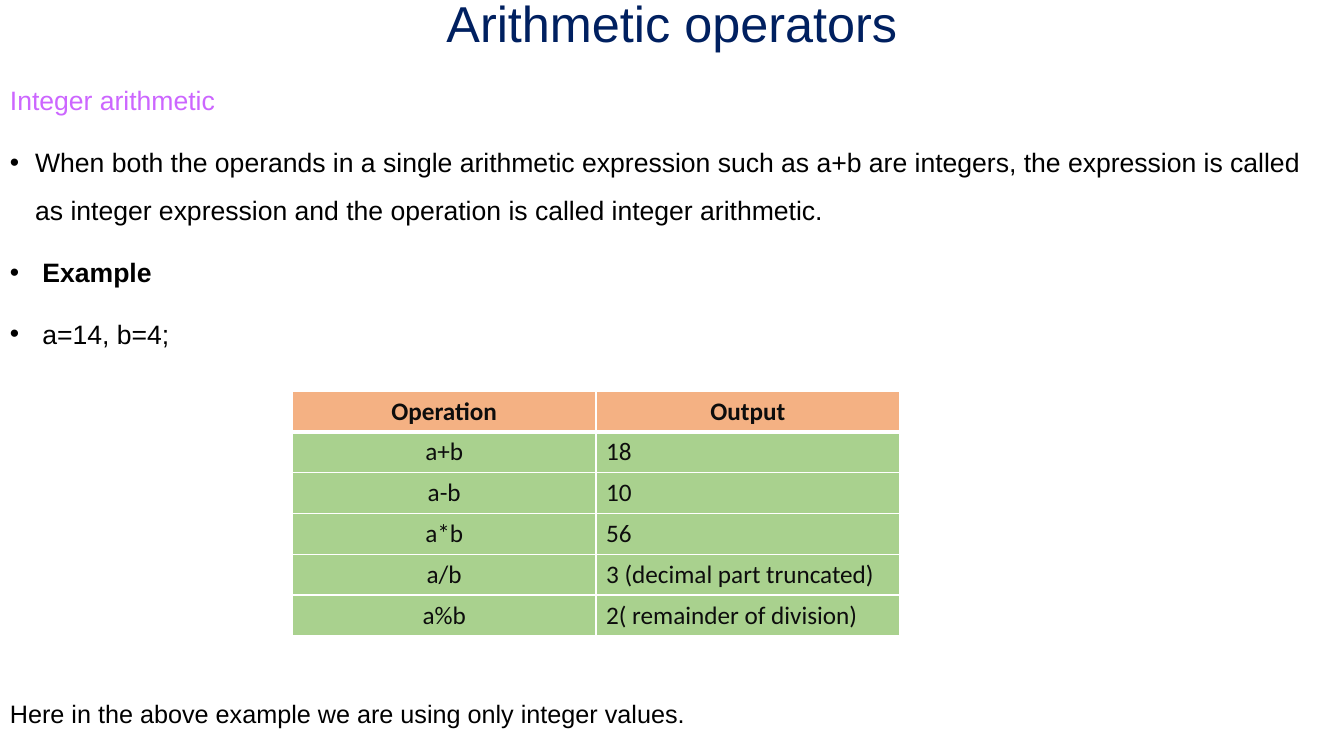
"""Build the slide on arithmetic operators with integer operands."""
from dataclasses import dataclass

from lxml import etree
from pptx import Presentation
from pptx.dml.color import RGBColor
from pptx.enum.text import MSO_ANCHOR, PP_ALIGN
from pptx.oxml.ns import qn
from pptx.util import Emu, Inches, Pt

CENTER, LEFT = PP_ALIGN.CENTER, PP_ALIGN.LEFT
TOP, MIDDLE = MSO_ANCHOR.TOP, MSO_ANCHOR.MIDDLE
CELL = Inches(1) // 12
COLUMNS, ROWS = 160, 90
NAVY, VIOLET, BLACK, WHITE = "002060", "CC66FF", "000000", "FFFFFF"
CHARCOAL, ORANGE, GREEN = "0D0D0D", "F4B183", "A9D18E"
HANGING = Inches(0.25)


@dataclass
class Line:
    text: str
    size: float
    color: str = BLACK
    bold: bool = False
    bullet: bool = False
    align: PP_ALIGN = LEFT
    spacing: float = 1.5
    before: float = 10


@dataclass
class TextBlock:
    left: float
    top: float
    width: float
    height: float
    anchor: MSO_ANCHOR
    lines: list[Line]


TEXT_BLOCKS = [
    TextBlock(11, 0, 138, 6.36, MIDDLE, [
        Line("Arithmetic operators", 36, NAVY, align=CENTER, spacing=0.9, before=0),
    ]),
    TextBlock(0, 7.56, COLUMNS, 37, TOP, [
        Line("Integer arithmetic", 19, VIOLET),
        Line("When both the operands in a single arithmetic expression such as a+b are "
             "integers, the expression is called as integer expression and the operation "
             "is called integer arithmetic.", 19, bullet=True),
        Line(" Example", 19, bold=True, bullet=True),
        Line(" a=14, b=4;", 19, bullet=True),
    ]),
    TextBlock(0, 82.8, COLUMNS, 4.8, MIDDLE, [
        Line("Here in the above example we are using only integer values.", 18,
             spacing=0.9, before=0),
    ]),
]

OPERATIONS = [
    ("Operation", "Output"),
    ("a+b", "18"),
    ("a-b", "10"),
    ("a*b", "56"),
    ("a/b", "3 (decimal part truncated)"),
    ("a%b", "2( remainder of division)"),
]
TABLE_LEFT, TABLE_TOP = 34.8, 46.56
TABLE_COLUMN, TABLE_ROW = 36.16, 4.86


def grid(cells: float) -> Emu:
    """Turn grid cells into a length."""
    return Emu(round(cells * CELL))


def rgb(color: str) -> RGBColor:
    """Turn a hex string into a colour."""
    return RGBColor.from_string(color)


def set_font(paragraph, name: str, size: float, color: str, bold: bool) -> None:
    """Set the font of a whole paragraph."""
    font = paragraph.font
    font.name, font.size, font.bold = name, Pt(size), bold
    font.color.rgb = rgb(color)


def add_bullet(paragraph) -> None:
    """Give a paragraph a bullet and a hanging indent."""
    properties = paragraph._p.get_or_add_pPr()
    properties.set("marL", str(HANGING))
    properties.set("indent", str(-HANGING))
    bullet_font = etree.Element(qn("a:buFont"), typeface="Arial")
    bullet = etree.Element(qn("a:buChar"), char="•")
    defaults = properties.find(qn("a:defRPr"))
    defaults.addprevious(bullet_font)
    defaults.addprevious(bullet)


def add_text_block(slide, block: TextBlock) -> None:
    """Add a text box with its lines."""
    shape = slide.shapes.add_textbox(grid(block.left), grid(block.top),
                                     grid(block.width), grid(block.height))
    frame = shape.text_frame
    frame.word_wrap = True
    frame.vertical_anchor = block.anchor
    for index, line in enumerate(block.lines):
        paragraph = frame.add_paragraph() if index else frame.paragraphs[0]
        paragraph.text = line.text
        paragraph.alignment = line.align
        paragraph.line_spacing = line.spacing
        paragraph.space_before = Pt(line.before)
        set_font(paragraph, "Arial", line.size, line.color, line.bold)
        if line.bullet:
            add_bullet(paragraph)


def set_border(cell, side: str, width: float) -> None:
    """Draw a white border on one side of a cell."""
    properties = cell._tc.get_or_add_tcPr()
    border = etree.SubElement(properties, qn(f"a:ln{side}"), w=str(Pt(width)))
    fill = etree.SubElement(border, qn("a:solidFill"))
    etree.SubElement(fill, qn("a:srgbClr"), val=WHITE)


def add_operations_table(slide) -> None:
    """Add the table of operations and their outputs."""
    row_count, column_count = len(OPERATIONS), len(OPERATIONS[0])
    table = slide.shapes.add_table(
        row_count, column_count, grid(TABLE_LEFT), grid(TABLE_TOP),
        grid(TABLE_COLUMN * column_count), grid(TABLE_ROW * row_count)).table
    for row, texts in enumerate(OPERATIONS):
        header = row == 0
        for column, text in enumerate(texts):
            cell = table.cell(row, column)
            cell.text = text
            paragraph = cell.text_frame.paragraphs[0]
            paragraph.alignment = CENTER if header or column == 0 else LEFT
            set_font(paragraph, "Calibri", 18, CHARCOAL, header)
            for side in "LRTB":
                thick = (header and side == "B") or (row == 1 and side == "T")
                set_border(cell, side, 3 if thick else 1)
            cell.fill.solid()
            cell.fill.fore_color.rgb = rgb(ORANGE if header else GREEN)


def main() -> None:
    """Build and save the presentation."""
    presentation = Presentation()
    presentation.slide_width = grid(COLUMNS)
    presentation.slide_height = grid(ROWS)
    slide = presentation.slides.add_slide(presentation.slide_layouts[6])
    for block in TEXT_BLOCKS:
        add_text_block(slide, block)
    add_operations_table(slide)
    presentation.save("out.pptx")


if __name__ == "__main__":
    main()
